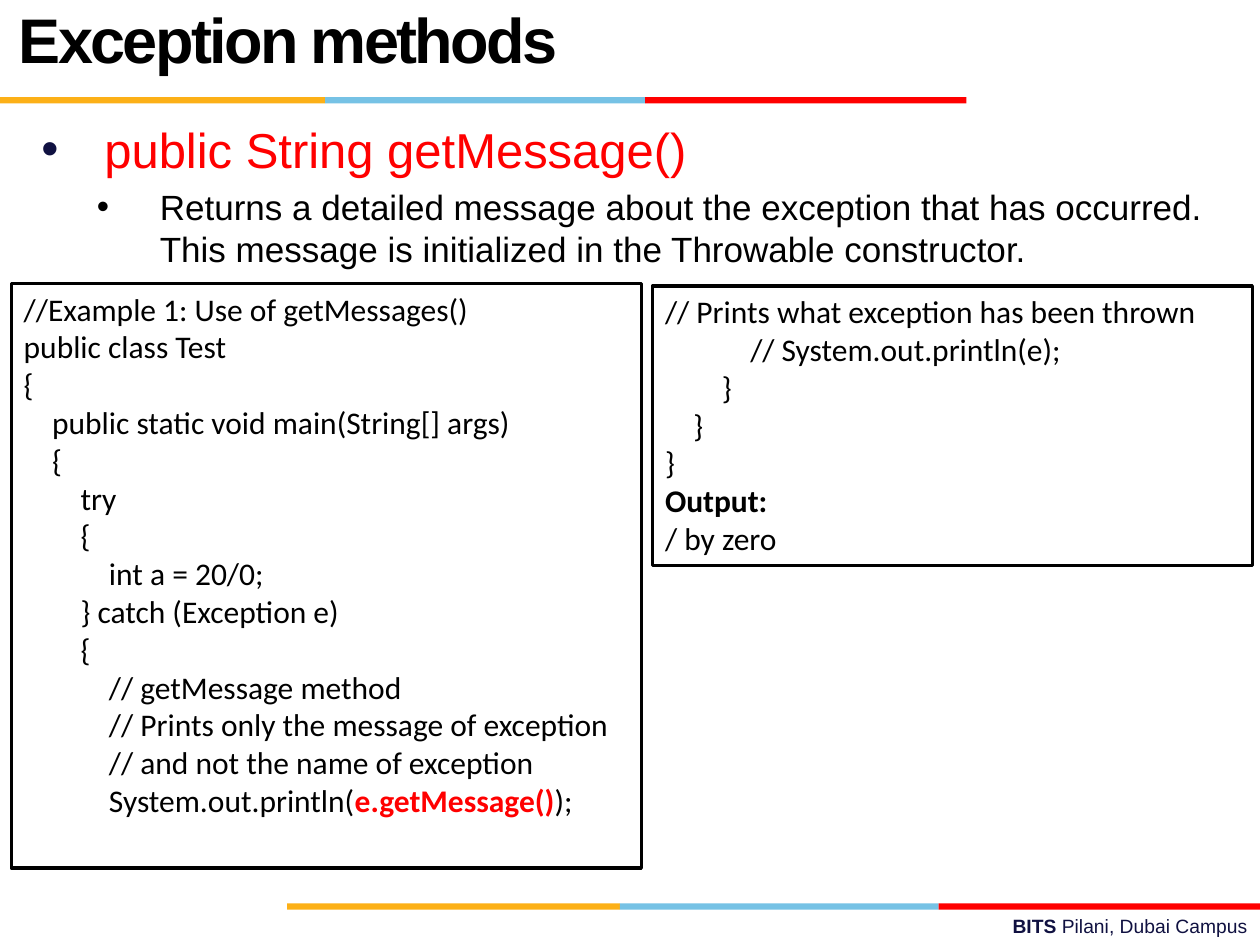
from dataclasses import dataclass

import pptx
import pptx.dml.color
import pptx.enum.shapes
import pptx.enum.text
import pptx.oxml
import pptx.oxml.ns
import pptx.util

SLIDE_WIDTH = pptx.util.Inches(10)
SLIDE_HEIGHT = pptx.util.Inches(7.5)
COLUMNS, ROWS = 100, 75


@dataclass(frozen=True)
class Theme:
    heading_font: str = "Arial"
    code_font: str = "Calibri"
    black: str = "000000"
    white: str = "FFFFFF"
    red: str = "FF0000"
    navy: str = "101141"
    blue: str = "76C2E5"
    gold: str = "FCB017"
    title_size: float = 36
    method_size: float = 28
    detail_size: float = 20
    code_size: float = 18
    footer_size: float = 11


@dataclass(frozen=True)
class Area:
    """A rectangle in grid columns and rows."""
    column: float
    row: float
    columns: float
    rows: float

    def box(self) -> tuple[int, int, int, int]:
        across, down = SLIDE_WIDTH / COLUMNS, SLIDE_HEIGHT / ROWS
        return (round(self.column * across), round(self.row * down),
                round(self.columns * across), round(self.rows * down))


@dataclass(frozen=True)
class Span:
    text: str
    bold: bool | None = None
    color: str | None = None


@dataclass(frozen=True)
class Stripe:
    """Gold, blue and red bars that meet end to end."""
    row: float
    edges: tuple[float, float, float, float]


@dataclass(frozen=True)
class Bullet:
    text: str
    level: int
    indent: float
    size: float
    color: str
    bullet_color: str


@dataclass(frozen=True)
class CodePanel:
    area: Area
    lines: tuple[tuple[Span, ...], ...]


def code(text: str) -> tuple[tuple[Span, ...], ...]:
    return tuple((Span(line),) for line in text.strip("\n").split("\n"))


THEME = Theme()
STRIPES = (Stripe(7.7, (0, 25.8, 51.2, 76.7)), Stripe(71.7, (22.8, 49.2, 74.5, 100)))
BULLETS = (
    Bullet("public String getMessage()", 0, 0.5, THEME.method_size, THEME.red, THEME.navy),
    Bullet("Returns a detailed message about the exception that has occurred. "
           "This message is initialized in the Throwable constructor.",
           1, 0.94, THEME.detail_size, THEME.black, THEME.black),
)
EXAMPLE = code("""
//Example 1: Use of getMessages()
public class Test
{
    public static void main(String[] args)
    {
        try
        {
            int a = 20/0;
        } catch (Exception e)
        {
            // getMessage method
            // Prints only the message of exception
            // and not the name of exception
""") + ((Span("            System.out.println("),
         Span("e.getMessage()", True, THEME.red), Span(");")),)
ENDING = code("""
// Prints what exception has been thrown
            // System.out.println(e);
        }
    }
}
""") + ((Span("Output:", True),), (Span("/ by zero"),))
PANELS = (CodePanel(Area(0.9, 22.5, 50, 46.4), EXAMPLE),
          CodePanel(Area(51.8, 22.7, 47.6, 22.2), ENDING))


def rgb(color: str) -> pptx.dml.color.RGBColor:
    return pptx.dml.color.RGBColor.from_string(color)


def set_font(font, name: str, size: float, color: str, bold: bool = False) -> None:
    font.name, font.size, font.bold = name, pptx.util.Pt(size), bold
    font.color.rgb = rgb(color)


def add_spans(paragraph, spans: tuple[Span, ...]) -> None:
    for span in spans:
        run = paragraph.add_run()
        run.text = span.text
        if span.bold is not None:
            run.font.bold = span.bold
        if span.color:
            run.font.color.rgb = rgb(span.color)


def next_paragraph(frame, index: int):
    return frame.add_paragraph() if index else frame.paragraphs[0]


def add_text_frame(slide, area: Area):
    frame = slide.shapes.add_textbox(*area.box()).text_frame
    frame.word_wrap = True
    return frame


def add_rectangle(slide, area: Area, fill: str):
    shape = slide.shapes.add_shape(pptx.enum.shapes.MSO_SHAPE.RECTANGLE, *area.box())
    shape.shadow.inherit = False
    shape.fill.solid()
    shape.fill.fore_color.rgb = rgb(fill)
    shape.line.fill.background()
    return shape


def add_stripe(slide, stripe: Stripe) -> None:
    colors = (THEME.gold, THEME.blue, THEME.red)
    for start, end, color in zip(stripe.edges, stripe.edges[1:], colors):
        add_rectangle(slide, Area(start, stripe.row, end - start, 0.5), color)


def add_title(slide, text: str) -> None:
    frame = add_text_frame(slide, Area(0.5, 2, 73.3, 3.1))
    frame.vertical_anchor = pptx.enum.text.MSO_ANCHOR.MIDDLE
    paragraph = frame.paragraphs[0]
    paragraph.line_spacing = pptx.util.Pt(THEME.title_size)
    add_spans(paragraph, (Span(text),))
    set_font(paragraph.font, THEME.heading_font, THEME.title_size, THEME.black, True)
    paragraph.runs[0].font._element.set("spc", "-150")


def add_bullets(slide, bullets: tuple[Bullet, ...]) -> None:
    frame = add_text_frame(slide, Area(2.3, 9, 96, 13))
    namespace = pptx.oxml.ns.nsdecls("a")
    for index, bullet in enumerate(bullets):
        paragraph = next_paragraph(frame, index)
        paragraph.level = bullet.level
        if index:
            paragraph.space_before = pptx.util.Pt(bullet.size * 0.2)
        properties = paragraph._p.get_or_add_pPr()
        properties.set("marL", str(pptx.util.Inches(bullet.indent)))
        properties.set("indent", str(pptx.util.Inches(-0.5)))
        for xml in (f'<a:buClr {namespace}><a:srgbClr val="{bullet.bullet_color}"/></a:buClr>',
                    f'<a:buFont {namespace} typeface="{THEME.heading_font}"/>',
                    f'<a:buChar {namespace} char="•"/>'):
            properties.append(pptx.oxml.parse_xml(xml))
        add_spans(paragraph, (Span(bullet.text),))
        set_font(paragraph.font, THEME.heading_font, bullet.size, bullet.color)


def add_code_panel(slide, panel: CodePanel) -> None:
    shape = add_rectangle(slide, panel.area, THEME.white)
    shape.line.color.rgb = rgb(THEME.black)
    shape.line.width = pptx.util.Pt(2)
    frame = shape.text_frame
    frame.word_wrap = True
    frame.vertical_anchor = pptx.enum.text.MSO_ANCHOR.TOP
    for index, spans in enumerate(panel.lines):
        paragraph = next_paragraph(frame, index)
        paragraph.alignment = pptx.enum.text.PP_ALIGN.LEFT
        add_spans(paragraph, spans)
        set_font(paragraph.font, THEME.code_font, THEME.code_size, THEME.black)


def add_footer(slide) -> None:
    paragraph = add_text_frame(slide, Area(35.8, 72.1, 64.2, 2.9)).paragraphs[0]
    paragraph.alignment = pptx.enum.text.PP_ALIGN.RIGHT
    add_spans(paragraph, (Span("BITS ", True), Span("Pilani, Dubai Campus")))
    set_font(paragraph.font, THEME.heading_font, THEME.footer_size, THEME.navy)


def main() -> None:
    presentation = pptx.Presentation()
    presentation.slide_width, presentation.slide_height = SLIDE_WIDTH, SLIDE_HEIGHT
    slide = presentation.slides.add_slide(presentation.slide_layouts[6])
    add_footer(slide)
    for stripe in STRIPES:
        add_stripe(slide, stripe)
    add_bullets(slide, BULLETS)
    add_title(slide, "Exception methods")
    for panel in PANELS:
        add_code_panel(slide, panel)
    presentation.save("out.pptx")


if __name__ == "__main__":
    main()
